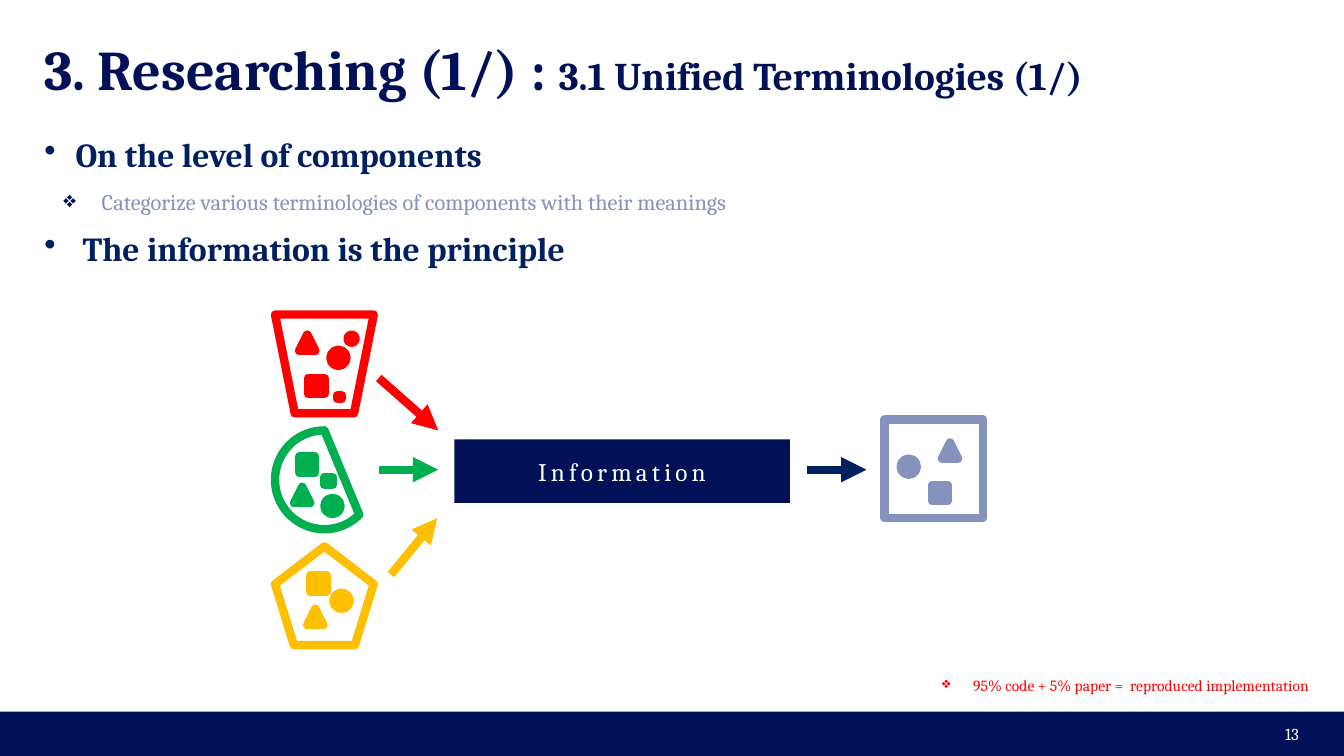
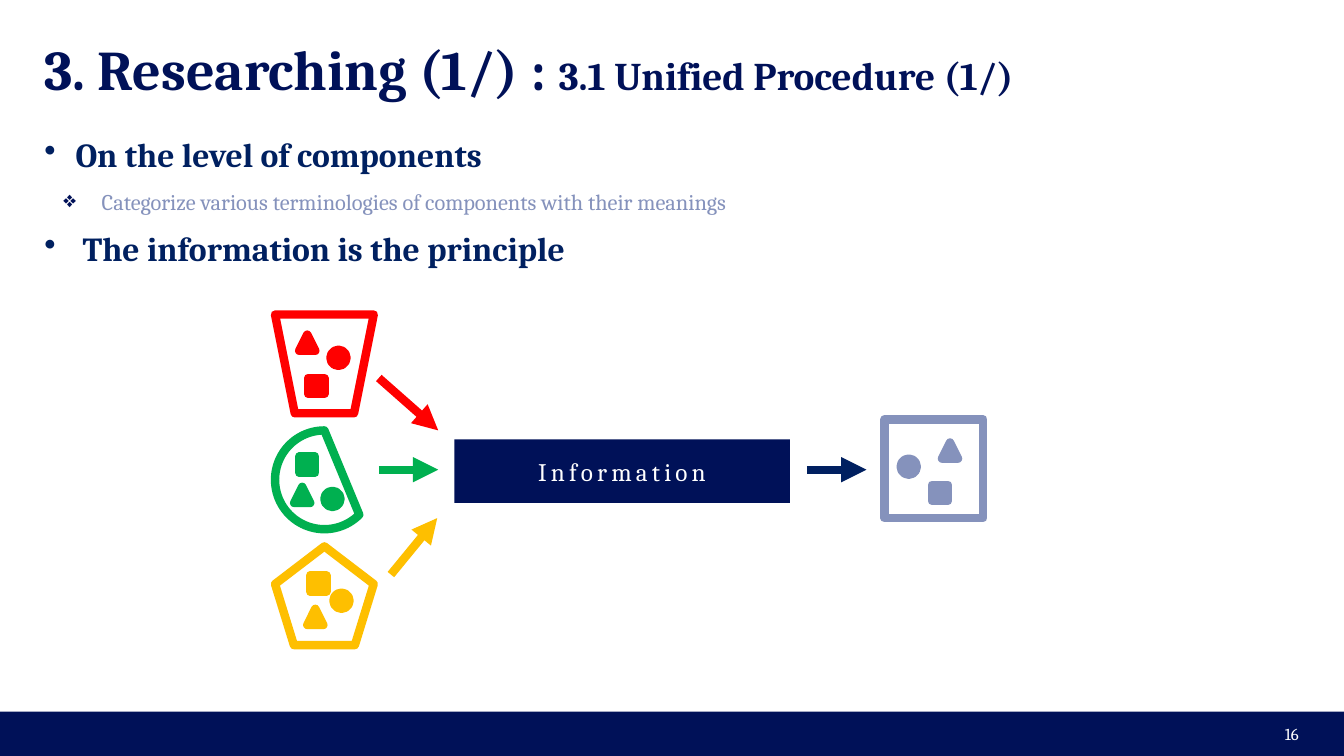
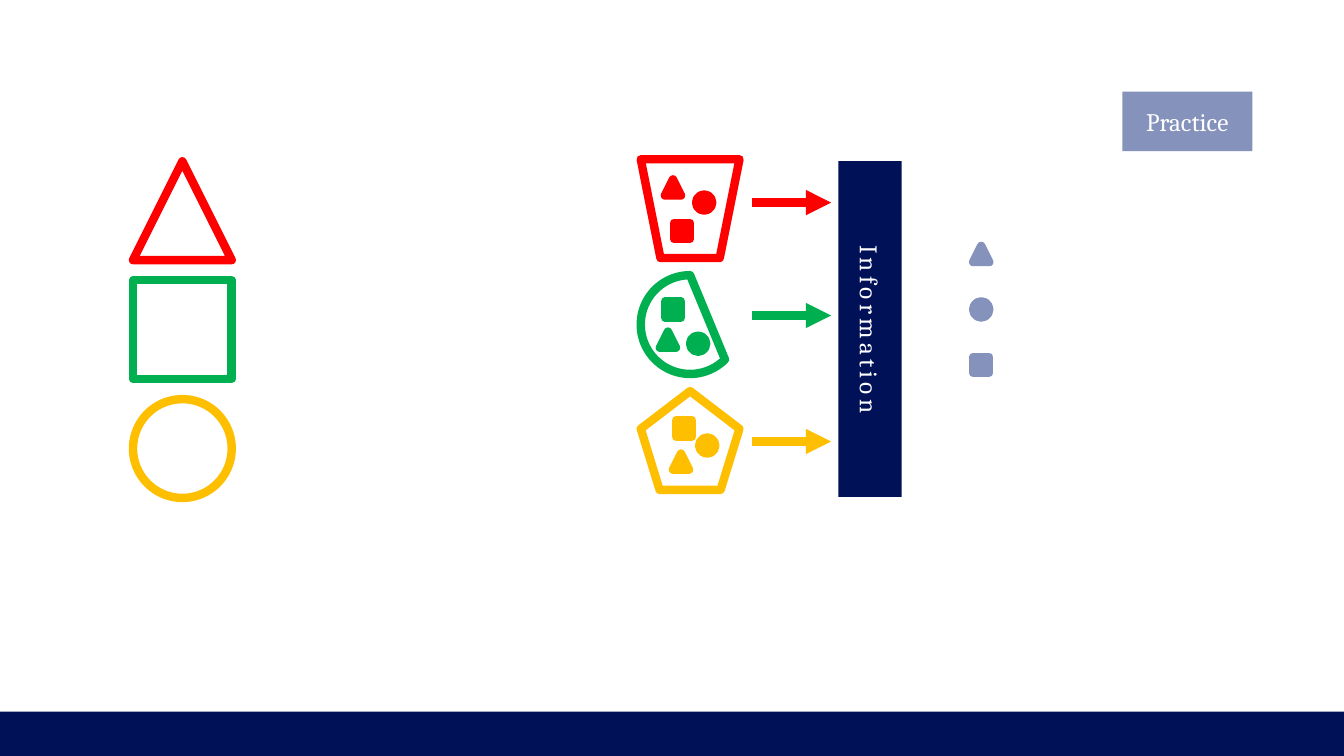
from lxml import etree
from pptx import Presentation, util as u
from pptx.dml.color import RGBColor
from pptx.enum import shapes, text
from pptx.oxml.ns import qn

COLOURS = {
    "navy": "001158", "ink": "002060", "grey": "8592BC", "white": "FFFFFF",
    "red": "FF0000", "green": "00B050", "yellow": "FEBF00",
}
FONT = "Cambria"
STROKE = 6
MARK = 0.16
VESSEL = 0.98
PITCH = 1.15
KIND = shapes.MSO_SHAPE
OVAL, TRIANGLE, SQUARE = KIND.OVAL, KIND.ISOSCELES_TRIANGLE, KIND.RECTANGLE
VESSELS = {
    "red": (KIND.FLOWCHART_MANUAL_OPERATION,
            {OVAL: (0.55, 0.35), TRIANGLE: (0.24, 0.2), SQUARE: (0.33, 0.63)}),
    "green": (KIND.CHORD,
              {OVAL: (0.49, 0.6), TRIANGLE: (0.19, 0.56), SQUARE: (0.24, 0.26)}),
    "yellow": (KIND.REGULAR_PENTAGON,
               {OVAL: (0.58, 0.46), TRIANGLE: (0.32, 0.62), SQUARE: (0.35, 0.29)}),
    "grey": (SQUARE,
             {OVAL: (0.16, 0.39), TRIANGLE: (0.57, 0.23), SQUARE: (0.47, 0.65)}),
}
SOURCES = ("red", "green", "yellow")


def rgb(name):
    """Return the named colour."""
    return RGBColor.from_string(COLOURS[name])


def inches(values):
    """Turn plain numbers into lengths."""
    return [u.Inches(value) for value in values]


def write(para, words, size=18, colour="white", bold=False, spacing=0):
    """Append one formatted span to a paragraph."""
    span = para.add_run()
    span.text = words
    span.font.name = FONT
    span.font.size = u.Pt(size)
    span.font.bold = bold
    span.font.color.rgb = rgb(colour)
    if spacing:
        span.font._element.set("spc", str(spacing * 100))


def text_box(page, box, margin=0, anchor=text.MSO_ANCHOR.TOP):
    """Add a wrapping text box and return its frame."""
    frame = page.shapes.add_textbox(*inches(box)).text_frame
    frame.word_wrap = True
    frame.vertical_anchor = anchor
    frame.margin_left = frame.margin_right = u.Inches(margin)
    frame.margin_top = frame.margin_bottom = u.Inches(margin / 2)
    return frame


def bullet(para, char, indent, hang, line_spacing=0.9, colour=None):
    """Give a paragraph its bullet, hanging indent and spacing."""
    para.line_spacing = line_spacing
    para.space_before = para.space_after = u.Pt(6)
    props = para._p.get_or_add_pPr()
    props.set("marL", str(u.Inches(indent)))
    props.set("indent", str(-u.Inches(hang)))
    if colour:
        holder = etree.SubElement(props, qn("a:buClr"))
        etree.SubElement(holder, qn("a:srgbClr"), val=COLOURS[colour])
    etree.SubElement(props, qn("a:buChar"), char=char)


def panel(page, box, colour, words="", rotation=0, spacing=0):
    """Add a filled rectangle with an optional centred label."""
    shape = page.shapes.add_shape(SQUARE, *inches(box))
    shape.shadow.inherit = False
    shape.fill.solid()
    shape.fill.fore_color.rgb = rgb(colour)
    shape.line.fill.background()
    shape.rotation = rotation
    if words:
        shape.text_frame.vertical_anchor = text.MSO_ANCHOR.MIDDLE
        para = shape.text_frame.paragraphs[0]
        para.alignment = text.PP_ALIGN.CENTER
        write(para, words, spacing=spacing)


def figure(owner, kind, left, top, size, colour, filled=True):
    """Add a square-sized figure with a thick round-jointed outline."""
    shape = owner.shapes.add_shape(kind, *inches((left, top, size, size)))
    shape.shadow.inherit = False
    if filled:
        shape.fill.solid()
        shape.fill.fore_color.rgb = rgb(colour)
    else:
        shape.fill.background()
    shape.line.color.rgb = rgb(colour)
    shape.line.width = u.Pt(STROKE)
    etree.SubElement(shape.line._get_or_add_ln(), qn("a:round"))


def vessel(page, colour, left, top, moved=None, extras=()):
    """Group an outline with its three marks and any smaller extras."""
    outline, marks = VESSELS[colour]
    group = page.shapes.add_group_shape()
    for kind, (across, down) in {**marks, **(moved or {})}.items():
        figure(group, kind, left + across, top + down, MARK, colour)
    for kind, across, down, size in extras:
        figure(group, kind, left + across, top + down, size, colour)
    figure(group, outline, left, top, VESSEL, colour, filled=False)


def vessel_column(page, left, top, moved=None, extras=None):
    """Stack the three source vessels at an equal pitch."""
    for row, colour in enumerate(SOURCES):
        vessel(page, colour, left, top + row * PITCH,
               (moved or {}).get(colour), (extras or {}).get(colour, ()))


def arrow(page, start, end, colour):
    """Draw a thick arrow from start to end."""
    line = page.shapes.add_connector(
        shapes.MSO_CONNECTOR.STRAIGHT, *inches((*start, *end)))
    line.line.color.rgb = rgb(colour)
    line.line.width = u.Pt(STROKE)
    etree.SubElement(line.line._get_or_add_ln(), qn("a:tailEnd"), type="triangle")
    etree.SubElement(line._element.spPr, qn("a:effectLst"))


def new_page(deck, number=""):
    """Add a blank slide with the bottom band and slide number."""
    page = deck.slides.add_slide(deck.slide_layouts[6])
    panel(page, (0, 7.06, 13.34, 0.44), "navy")
    if number:
        frame = text_box(page, (9.99, 7.08, 3, 0.4), 0.1, text.MSO_ANCHOR.MIDDLE)
        para = frame.paragraphs[0]
        para.alignment = text.PP_ALIGN.RIGHT
        write(para, number, size=12)
    return page


def heading(page, box, topic):
    """Write the two-size slide title."""
    para = text_box(page, box, anchor=text.MSO_ANCHOR.MIDDLE).paragraphs[0]
    write(para, "3. Researching (1/) : ", size=40, colour="navy", bold=True)
    write(para, topic, size=28, colour="navy", bold=True)


def key_points(page, box):
    """Write the bulleted points under the title."""
    frame = text_box(page, box)
    first, detail, second = (
        frame.paragraphs[0], frame.add_paragraph(), frame.add_paragraph())
    bullet(first, "•", 0.31, 0.31)
    write(first, "On the level of components", size=24, colour="ink", bold=True)
    bullet(detail, "❖", 0.57, 0.38, colour="navy")
    write(detail, "Categorize various terminologies of components with their meanings",
          size=16, colour="grey")
    bullet(second, "•", 0.38, 0.38)
    write(second, "The information is the principle", size=24, colour="ink", bold=True)


def flow(page, left, top, moved=None, extras=None):
    """Draw the sources merging through information into one result."""
    vessel_column(page, left, top, moved, extras)
    panel(page, (left + 1.78, top + 1.24, 3.33, 0.63), "navy", "Information", spacing=3)
    arrows = (
        ((1.03, 0.63), (1.62, 1.15), "red"),
        ((1.03, 1.54), (1.62, 1.54), "green"),
        ((1.15, 2.58), (1.61, 2.02), "yellow"),
        ((5.28, 1.54), (5.87, 1.54), "ink"),
    )
    for start, end, colour in arrows:
        arrow(page, (left + start[0], top + start[1]),
              (left + end[0], top + end[1]), colour)
    vessel(page, "grey", left + 6.05, top + 1.04)


def flow_page(deck, number, topic, moved=None, extras=None):
    """Build a titled slide with points and the flow diagram."""
    page = new_page(deck, number)
    heading(page, (0.44, 0.44, 12.46, 0.47), topic)
    key_points(page, (0.44, 1.37, 12.46, 1.51))
    flow(page, 2.73, 3.12, moved, extras)
    return page


def footnote(page, box):
    """Write the small red remark above the band."""
    para = text_box(page, box).paragraphs[0]
    bullet(para, "❖", 0.31, 0.31, line_spacing=0.8)
    write(para, "95% code + 5% paper =  reproduced implementation",
          size=11.1, colour="red")


def practice_page(deck):
    """Build the slide with plain outlines, sources and sorted marks."""
    page = new_page(deck)
    for row, (kind, colour) in enumerate(zip((TRIANGLE, SQUARE, OVAL), SOURCES)):
        figure(page, kind, 1.32, 1.6 + row * 1.18, VESSEL, colour, filled=False)
    vessel_column(page, 6.36, 1.58)
    for colour, height in zip(SOURCES, (2.01, 3.13, 4.38)):
        arrow(page, (7.46, height), (8.25, height), colour)
    panel(page, (6.97, 2.95, 3.33, 0.63), "navy", "Information", rotation=90, spacing=3)
    for row, kind in enumerate((TRIANGLE, OVAL, SQUARE)):
        figure(page, kind, 9.66, 2.44 + row * 0.55, MARK, "grey")
    panel(page, (11.14, 0.91, 1.29, 0.59), "grey", "Practice")


def main():
    """Build and save the deck."""
    deck = Presentation()
    deck.slide_width, deck.slide_height = inches((13.34, 7.5))
    terms = flow_page(
        deck, "13", "3.1 Unified Terminologies (1/)",
        moved={"green": {OVAL: (0.49, 0.67)}},
        extras={"red": ((OVAL, 0.72, 0.2, 0.08), (SQUARE, 0.62, 0.8, 0.04)),
                "green": ((SQUARE, 0.49, 0.46, 0.08),)})
    footnote(terms, (9.35, 6.74, 3.9, 0.15))
    flow_page(deck, "16", "3.1 Unified Procedure (1/)")
    practice_page(deck)
    deck.save("out.pptx")


main()
